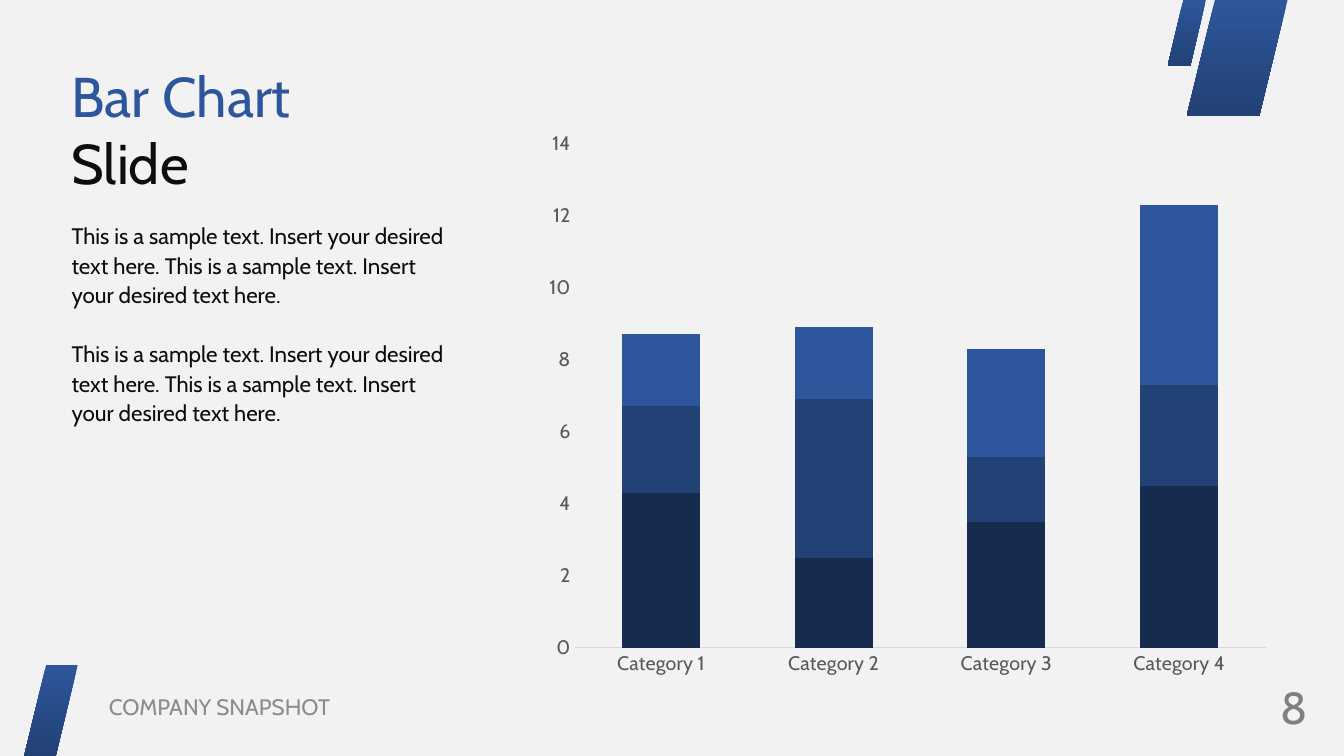
from pptx import Presentation
from pptx.chart.data import CategoryChartData
from pptx.dml.color import RGBColor
from pptx.enum.chart import XL_CHART_TYPE, XL_TICK_MARK
from pptx.enum.shapes import MSO_SHAPE
from pptx.enum.text import MSO_ANCHOR, PP_ALIGN
from pptx.util import Inches, Pt

STACKED = XL_CHART_TYPE.COLUMN_STACKED
NO_TICK = XL_TICK_MARK.NONE
PARALLELOGRAM = MSO_SHAPE.PARALLELOGRAM
TOP, MIDDLE = MSO_ANCHOR.TOP, MSO_ANCHOR.MIDDLE
LEFT, RIGHT = PP_ALIGN.LEFT, PP_ALIGN.RIGHT

FONT = "Cabin"
COLORS = {
    "background": "F2F2F2",
    "blue": "2D569C",
    "mid_blue": "224175",
    "navy": "172B4E",
    "ink": "0D0D0D",
    "footer": "8C8C8C",
    "number": "808080",
    "axis_text": "595959",
    "axis_line": "D9D9D9",
}
SAMPLE = "This is a sample text. Insert your desired text here. "
CATEGORIES = [f"Category {number}" for number in range(1, 5)]
SERIES = [
    ("Series 1", (4.3, 2.5, 3.5, 4.5), "navy"),
    ("Series 2", (2.4, 4.4, 1.8, 2.8), "mid_blue"),
    ("Series 3", (2, 2, 3, 5), "blue"),
]
# left, top, width, height, slant as a share of the shorter side
STRIPES = [
    (0.24, 6.6, 0.53, 0.9, 0.41),
    (11.77, 0, 1, 1.15, 0.28),
    (11.58, 0, 0.38, 0.66, 0.41),
]


def color(name):
    return RGBColor.from_string(COLORS[name])


def format_font(font, size, color_name):
    font.name = FONT
    font.size = Pt(size)
    font.color.rgb = color(color_name)


def place(box):
    return [Inches(length) for length in box]


def set_frame(frame, anchor):
    frame.word_wrap = True
    frame.vertical_anchor = anchor
    frame.margin_left = frame.margin_right = 0
    frame.margin_top = frame.margin_bottom = 0


def add_stripes(slide):
    for *box, slant in STRIPES:
        stripe = slide.shapes.add_shape(PARALLELOGRAM, *place(box))
        stripe.adjustments[0] = slant
        stripe.shadow.inherit = False
        stripe.line.fill.background()
        stripe.fill.gradient()
        stripe.fill.gradient_angle = 270
        for stop, name in zip(stripe.fill.gradient_stops, ("blue", "mid_blue")):
            stop.color.rgb = color(name)


def set_title(slide, box):
    title = slide.shapes.title
    title.left, title.top, title.width, title.height = place(box)
    frame = title.text_frame
    set_frame(frame, TOP)
    frame.text = "Bar Chart\nSlide"
    for paragraph, name in zip(frame.paragraphs, ("blue", "ink")):
        paragraph.alignment = LEFT
        paragraph.space_before = Pt(0)
        format_font(paragraph.font, 40, name)


def add_text(slide, box, paragraphs, size, color_name, anchor=MIDDLE,
             alignment=LEFT, line_spacing=1.0, gap=0):
    frame = slide.shapes.add_textbox(*place(box)).text_frame
    set_frame(frame, anchor)
    frame.text = "\n".join(paragraphs)
    for index, paragraph in enumerate(frame.paragraphs):
        paragraph.alignment = alignment
        paragraph.line_spacing = line_spacing
        if index:
            paragraph.space_before = Pt(gap)
        format_font(paragraph.font, size, color_name)


def add_column_chart(slide, box):
    data = CategoryChartData()
    data.categories = CATEGORIES
    for name, values, _ in SERIES:
        data.add_series(name, values)
    chart = slide.shapes.add_chart(STACKED, *place(box), data).chart
    chart.has_legend = False
    chart.has_title = False
    format_font(chart.font, 14, "axis_text")

    plot = chart.plots[0]
    plot.gap_width = 121
    plot.overlap = 100
    plot.vary_by_categories = False
    for series, (_, _, color_name) in zip(plot.series, SERIES):
        series.format.fill.solid()
        series.format.fill.fore_color.rgb = color(color_name)

    for axis in (chart.category_axis, chart.value_axis):
        axis.major_tick_mark = axis.minor_tick_mark = NO_TICK
        axis.has_major_gridlines = False
        format_font(axis.tick_labels.font, 14, "axis_text")
    category_line = chart.category_axis.format.line
    category_line.color.rgb = color("axis_line")
    category_line.width = Pt(0.75)
    value_axis = chart.value_axis
    value_axis.format.line.fill.background()
    value_axis.minimum_scale = 0
    value_axis.maximum_scale = 14
    value_axis.major_unit = 2


def add_footer(slide, top, height):
    add_text(slide, (1.08, top, 4.22, height), ["COMPANY SNAPSHOT"], 16, "footer")
    add_text(slide, (12.26, top, 0.71, height), ["8"], 32, "number", alignment=RIGHT)


def build_chart_slide(presentation):
    slide = presentation.slides.add_slide(presentation.slide_layouts[5])
    slide.background.fill.solid()
    slide.background.fill.fore_color.rgb = color("background")
    add_stripes(slide)
    set_title(slide, (0.71, 0.61, 3.83, 1.36))
    add_text(slide, (0.71, 2.18, 3.83, 3.62), [(SAMPLE * 2).strip()] * 2, 16, "ink",
             anchor=TOP, line_spacing=1.1, gap=21)
    add_column_chart(slide, (5.3, 1.19, 7.4, 5.63))
    add_footer(slide, 6.81, 0.4)


def main():
    presentation = Presentation()
    presentation.slide_width = Inches(13.33)
    presentation.slide_height = Inches(7.5)
    build_chart_slide(presentation)
    presentation.save("out.pptx")


if __name__ == "__main__":
    main()
